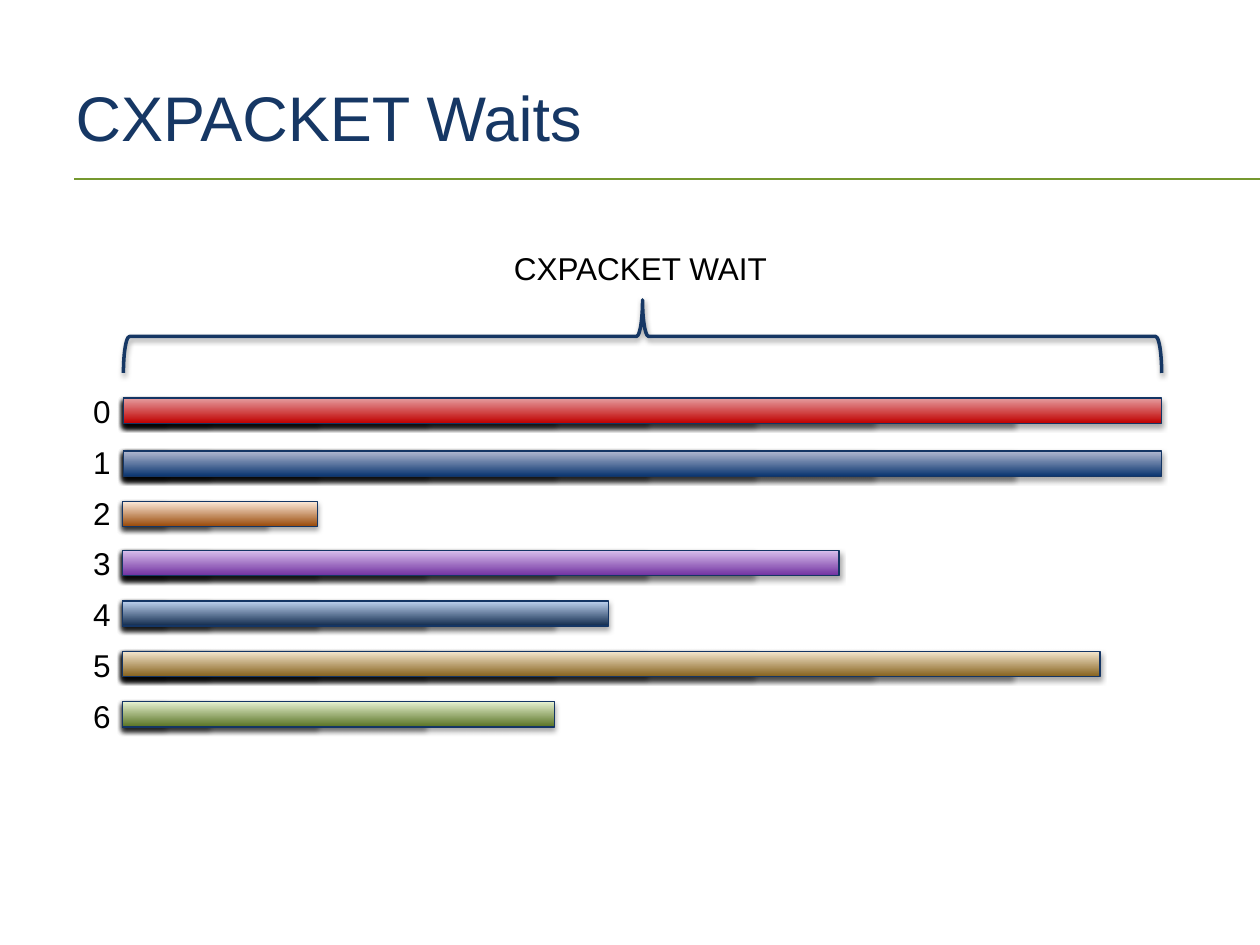
"""Build the CXPACKET Waits slide: thread bars under a brace."""
from lxml.etree import SubElement
from pptx import Presentation
from pptx.dml.color import RGBColor
from pptx.enum.shapes import MSO_CONNECTOR, MSO_SHAPE
from pptx.enum.text import MSO_ANCHOR, MSO_AUTO_SIZE, PP_ALIGN
from pptx.oxml.ns import qn
from pptx.util import Inches, Pt

COLORS = {"title": "163764", "rule": "75982F", "outline": "143564",
          "text": "000000", "shadow": "000000"}
FONT = "Arial"
TITLE = "CXPACKET Waits"
BRACE_LABEL = "CXPACKET WAIT"
STEPS = [0.34, 0.69, 1.55, 2.41, 3.43, 4.16, 5.01, 5.95, 7.06, 8.24]
FULL_WIDTH = STEPS[-1]
BAR_HEIGHT = 0.2
LABEL_TOP, LABEL_PITCH = 3.06, 0.404

# label, left, top, final width, extra widths, dark colour, light colour
THREADS = [
    ("0", 0.98, 3.16, FULL_WIDTH, [], "C00000", "E59D9F"),
    ("1", 0.98, 3.58, FULL_WIDTH, [], "0A3570", "B2B9D1"),
    ("2", 0.97, 3.98, 1.55, [1.15], "984807", "FDEADA"),
    ("3", 0.97, 4.37, 5.69, [5.69], "7030A0", "D8BEEC"),
    ("4", 0.97, 4.77, 3.86, [3.86], "10294B", "BFD4F1"),
    ("5", 0.97, 5.17, 7.76, [7.76], "85611D", "F5E7CE"),
    ("6", 0.97, 5.57, 3.43, [], "587223", "E5F0CF"),
]


def rgb(value):
    return RGBColor.from_string(value)


def format_text(paragraph, size, color, alignment):
    paragraph.alignment = alignment
    paragraph.font.name = FONT
    paragraph.font.size = Pt(size)
    paragraph.font.color.rgb = rgb(color)


def add_label(slide, text, left, top, width):
    box = slide.shapes.add_textbox(Inches(left), Inches(top), Inches(width), Inches(0.4))
    frame = box.text_frame
    frame.word_wrap = False
    frame.auto_size = MSO_AUTO_SIZE.SHAPE_TO_FIT_TEXT
    frame.text = text
    format_text(frame.paragraphs[0], 18, COLORS["text"], PP_ALIGN.LEFT)


def add_shadow(shape, opacity, distance):
    shape.shadow.inherit = False
    effects = shape._element.spPr.find(qn("a:effectLst"))
    shadow = SubElement(effects, qn("a:outerShdw"), blurRad=str(Pt(3.15)),
                        dist=str(Pt(distance)), dir="5400000", rotWithShape="0")
    color = SubElement(shadow, qn("a:srgbClr"), val=COLORS["shadow"])
    SubElement(color, qn("a:alpha"), val=str(opacity * 1000))


def add_bar(slide, left, top, width, dark, light):
    bar = slide.shapes.add_shape(MSO_SHAPE.RECTANGLE, Inches(left), Inches(top),
                                 Inches(width), Inches(BAR_HEIGHT))
    bar.fill.gradient()
    bar.fill.gradient_angle = 90
    for stop, color, position in zip(bar.fill.gradient_stops, (dark, light), (0, 1)):
        stop.color.rgb = rgb(color)
        stop.position = position
    bar.line.color.rgb = rgb(COLORS["outline"])
    bar.line.width = Pt(0.75)
    add_shadow(bar, 35, 1.8)


def add_title(slide):
    title = slide.shapes.title
    title.left, title.top, title.width, title.height = map(Inches, (0.5, 0.3, 9, 1.25))
    title.text_frame.text = TITLE
    title.text_frame.vertical_anchor = MSO_ANCHOR.MIDDLE
    format_text(title.text_frame.paragraphs[0], 36, COLORS["title"], PP_ALIGN.LEFT)

    rule = slide.shapes.add_connector(MSO_CONNECTOR.STRAIGHT, Inches(0.59), Inches(1.42),
                                      Inches(10), Inches(1.42))
    rule.line.color.rgb = rgb(COLORS["rule"])
    rule.line.width = Pt(1)
    SubElement(rule._element.spPr, qn("a:effectLst"))


def add_brace(slide):
    brace = slide.shapes.add_shape(MSO_SHAPE.RIGHT_BRACE, Inches(4.81), Inches(-1.45),
                                   Inches(0.58), Inches(FULL_WIDTH))
    brace.rotation = 270
    brace.fill.background()
    brace.line.color.rgb = rgb(COLORS["title"])
    brace.line.width = Pt(2)
    add_shadow(brace, 38, 1.6)
    add_label(slide, BRACE_LABEL, 3.98, 1.93, 2.23)


def main():
    presentation = Presentation()
    presentation.slide_width, presentation.slide_height = Inches(10), Inches(7.5)
    slide = presentation.slides.add_slide(presentation.slide_layouts[5])
    add_title(slide)
    add_brace(slide)
    for row, (label, left, top, final, extra, dark, light) in enumerate(THREADS):
        add_label(slide, label, 0.64, LABEL_TOP + row * LABEL_PITCH, 0.34)
        for width in sorted([step for step in STEPS if step <= final] + extra):
            add_bar(slide, left, top, width, dark, light)
    presentation.save("out.pptx")


if __name__ == "__main__":
    main()
